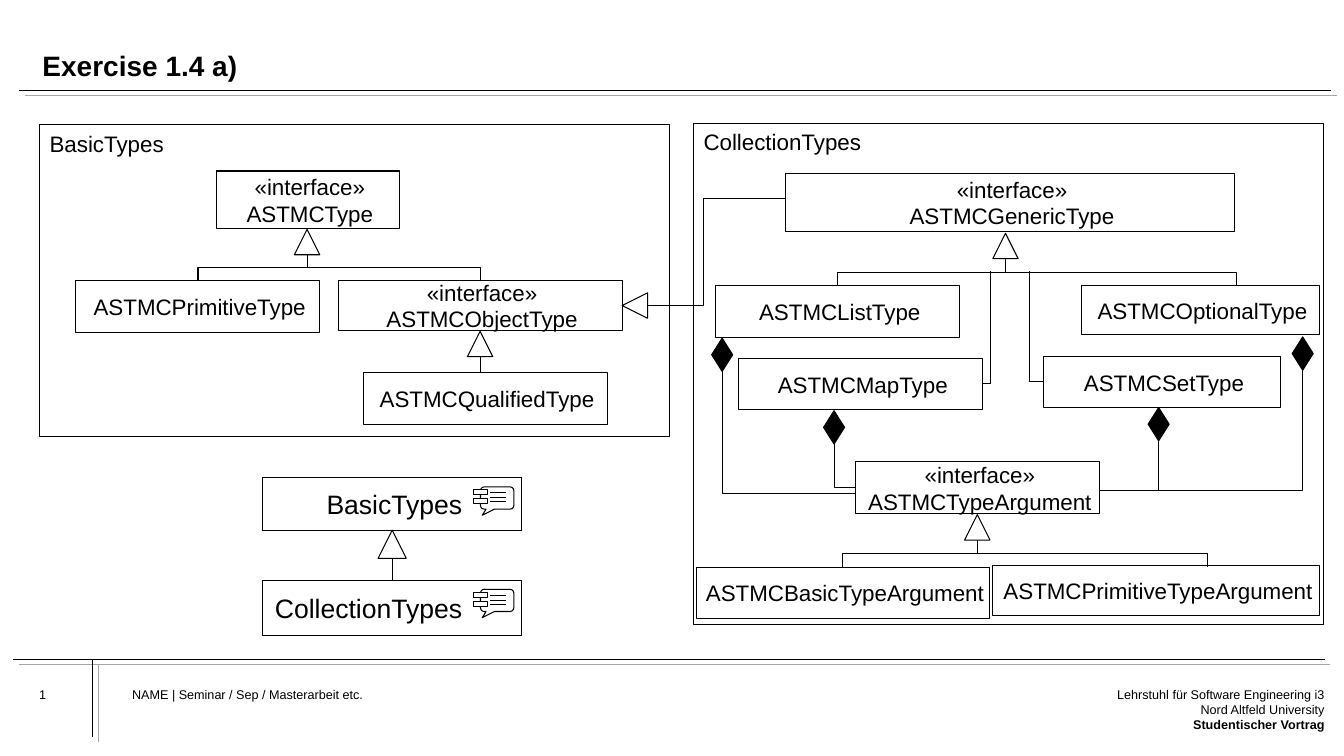
from dataclasses import dataclass

from lxml.etree import SubElement
from pptx import Presentation
from pptx.dml.color import RGBColor
from pptx.enum.shapes import MSO_CONNECTOR, MSO_SHAPE
from pptx.enum.text import MSO_ANCHOR, MSO_AUTO_SIZE, PP_ALIGN
from pptx.oxml.ns import qn
from pptx.util import Cm, Pt


@dataclass(frozen=True)
class Theme:
    font: str = "Arial"
    ink: RGBColor = RGBColor(0, 0, 0)
    paper: RGBColor = RGBColor(255, 255, 255)
    echo: RGBColor = RGBColor(0xA6, 0xA6, 0xA6)
    title_size: int = 20
    component_size: int = 19
    class_size: int = 16
    footer_size: int = 9
    outline: float = 0.75
    rule: float = 0.5


THEME = Theme()
ARROW = 0.64  # side of an inheritance triangle, in cm
DIAMOND_WIDTH, DIAMOND_HEIGHT = 0.53, 0.84


# Basic parts; all lengths are in centimetres
def write(shape, text, size=THEME.class_size, bold_lines=(), align=PP_ALIGN.LEFT,
          anchor=MSO_ANCHOR.TOP, insets=(0, 0, 0, 0), spacing=None):
    frame = shape.text_frame
    frame.word_wrap = True
    frame.auto_size = MSO_AUTO_SIZE.NONE
    frame.vertical_anchor = anchor
    (frame.margin_left, frame.margin_top,
     frame.margin_right, frame.margin_bottom) = map(Cm, insets)
    for index, line in enumerate(text.split("\n")):
        paragraph = frame.add_paragraph() if index else frame.paragraphs[0]
        paragraph.alignment = align
        paragraph.line_spacing = spacing
        run = paragraph.add_run()
        run.text = line
        run.font.name = THEME.font
        run.font.size = Pt(size)
        run.font.bold = index in bold_lines
        run.font.color.rgb = THEME.ink


def add_outlined(slide, kind, left, top, width, height, fill=THEME.paper):
    shape = slide.shapes.add_shape(kind, Cm(left), Cm(top), Cm(width), Cm(height))
    shape.shadow.inherit = False
    shape.fill.solid()
    shape.fill.fore_color.rgb = fill
    shape.line.color.rgb = THEME.ink
    shape.line.width = Pt(THEME.outline)
    return shape


def add_line(slide, start, end, kind=MSO_CONNECTOR.STRAIGHT,
             color=THEME.ink, width=THEME.outline):
    connector = slide.shapes.add_connector(kind, *map(Cm, (*start, *end)))
    connector.line.color.rgb = color
    connector.line.width = Pt(width)
    SubElement(connector._element.spPr, qn("a:effectLst"))
    return connector


def add_drop(slide, start, end, corner=False):
    """Elbow that leaves downwards; with corner it arrives from the side."""
    (x1, y1), (x2, y2) = start, end
    middle_x, middle_y = (x1 + x2) / 2, (y1 + y2) / 2
    half_run, half_drop = (x2 - x1) / 2, (y2 - y1) / 2
    connector = add_line(slide, (middle_x - half_drop, middle_y + half_run),
                         (middle_x + half_drop, middle_y - half_run), MSO_CONNECTOR.ELBOW)
    properties = connector._element.spPr
    properties.find(qn("a:xfrm")).set("rot", "5400000")
    if corner:
        properties.find(qn("a:prstGeom")).set("prst", "bentConnector2")


def add_text(slide, text, left, top, width, height, **text_format):
    box = slide.shapes.add_textbox(Cm(left), Cm(top), Cm(width), Cm(height))
    write(box, text, **text_format)


# Class diagram parts
def add_package(slide, name, box):
    package = add_outlined(slide, MSO_SHAPE.RECTANGLE, *box)
    write(package, name, insets=(0.25, 0.13, 0.25, 0.13))


def add_classes(slide, box, classes):
    for name, left, top, width, height in classes:
        shape = add_outlined(slide, MSO_SHAPE.RECTANGLE,
                             box[0] + left, box[1] + top, width, height)
        write(shape, name, align=PP_ALIGN.CENTER, anchor=MSO_ANCHOR.MIDDLE,
              insets=(0.2, 0, 0.1, 0))


def add_inheritance(slide, box, apex, children, child_top):
    x, y = box[0] + apex[0], box[1] + apex[1]
    for child in children:
        add_drop(slide, (x, y + ARROW), (box[0] + child, box[1] + child_top))
    add_outlined(slide, MSO_SHAPE.ISOSCELES_TRIANGLE, x - ARROW / 2, y, ARROW, ARROW)


def add_composition(slide, box, top_point, end):
    x, y = box[0] + top_point[0], box[1] + top_point[1]
    add_drop(slide, (x, y + DIAMOND_HEIGHT), (box[0] + end[0], box[1] + end[1]), corner=True)
    add_outlined(slide, MSO_SHAPE.DIAMOND, x - DIAMOND_WIDTH / 2, y,
                 DIAMOND_WIDTH, DIAMOND_HEIGHT, fill=THEME.ink)


# Regions
def draw_basic_types(slide, box):
    add_package(slide, "BasicTypes", box)
    add_classes(slide, box, [
        ("«interface»\nASTMCType", 4.45, 1.17, 4.62, 1.45),
        ("ASTMCPrimitiveType", 0.91, 3.94, 6.15, 1.3),
        ("«interface»\nASTMCObjectType", 7.52, 3.94, 7.16, 1.24),
        ("ASTMCQualifiedType", 8.15, 6.25, 6.15, 1.3),
    ])
    add_inheritance(slide, box, (6.74, 2.64), [3.99, 11.1], 3.94)
    add_inheritance(slide, box, (11.1, 5.21), [11.1], 6.25)


def draw_collection_types(slide, box):
    add_package(slide, "CollectionTypes", box)
    add_classes(slide, box, [
        ("«interface»\nASTMCGenericType", 2.31, 1.27, 11.33, 1.45),
        ("ASTMCListType", 0.56, 4.09, 6.15, 1.3),
        ("ASTMCOptionalType", 9.78, 4.09, 5.99, 1.24),
        ("ASTMCMapType", 1.14, 5.92, 6.15, 1.3),
        ("ASTMCSetType", 8.81, 5.87, 5.99, 1.3),
        ("«interface»\nASTMCTypeArgument", 4.09, 8.53, 6.15, 1.3),
        ("ASTMCBasicTypeArgument", 0.08, 11.18, 7.37, 1.3),
        ("ASTMCPrimitiveTypeArgument", 7.54, 11.15, 8.23, 1.24),
    ])
    add_inheritance(slide, box, (7.86, 2.77), [3.63, 13.67], 4.09)
    add_inheritance(slide, box, (7.15, 9.86), [3.76, 12.95], 11.18)
    # Map and set branch off the bar above list and optional
    for start_x, end_x, end_y in [(7.47, 7.29, 6.55), (8.46, 8.81, 6.5)]:
        add_drop(slide, (box[0] + start_x, box[1] + 3.73),
                 (box[0] + end_x, box[1] + end_y), corner=True)
    for top_point, end in [((0.72, 5.41), (4.09, 9.32)), ((3.54, 7.24), (4.09, 9.17)),
                           ((11.72, 7.16), (10.24, 9.25)), ((15.35, 5.38), (10.24, 9.25))]:
        add_composition(slide, box, top_point, end)


def draw_package_link(slide, basic_box, collection_box):
    tip_x, tip_y = basic_box[0] + 14.68, basic_box[1] + 4.56
    add_line(slide, (collection_box[0] + 2.3, collection_box[1] + 1.9),
             (tip_x, tip_y), MSO_CONNECTOR.ELBOW)
    triangle = add_outlined(slide, MSO_SHAPE.ISOSCELES_TRIANGLE,
                            tip_x, tip_y - ARROW / 2, ARROW, ARROW)
    triangle.rotation = 270


def draw_component(slide, name, box):
    left, top = box[:2]
    component = add_outlined(slide, MSO_SHAPE.RECTANGLE, *box)
    write(component, name, size=THEME.component_size, align=PP_ALIGN.RIGHT,
          anchor=MSO_ANCHOR.MIDDLE, insets=(0, 0, 1.5, 0))
    # Speech bubble with component tabs
    bubble = add_outlined(slide, MSO_SHAPE.ROUNDED_RECTANGULAR_CALLOUT,
                          left + 5.49, top + 0.23, 0.84, 0.56)
    for index, value in enumerate((-0.446, 0.776, 0.167)):
        bubble.adjustments[index] = value
    for tab_top in (0.3, 0.53):
        add_outlined(slide, MSO_SHAPE.RECTANGLE, left + 5.31, top + tab_top, 0.36, 0.13)
    for line_y in (0.38, 0.5, 0.61):
        add_line(slide, (left + 5.74, top + line_y), (left + 6.12, top + line_y))
    return component


def draw_components(slide, box):
    left, top, width, height = box
    arrow, parent_height, child_height = 0.71, 1.32, 1.4
    child_top = top + height - child_height
    center, apex = left + width / 2, top + parent_height
    draw_component(slide, "BasicTypes", (left, top, width, parent_height))
    child = draw_component(slide, "CollectionTypes", (left, child_top, width, child_height))
    stem = add_line(slide, (center, apex + arrow), (center, child_top))
    stem.end_connect(child, 0)
    add_outlined(slide, MSO_SHAPE.ISOSCELES_TRIANGLE, center - arrow / 2, apex, arrow, arrow)


def draw_title(slide, box):
    title = slide.shapes.title
    title.left, title.top, title.width, title.height = map(Cm, box)
    write(title, "Exercise 1.4 a)", size=THEME.title_size, bold_lines=(0,),
          anchor=MSO_ANCHOR.BOTTOM, spacing=0.9)


def draw_rule(slide, x1, y1, x2, y2):
    for color, shift_x, shift_y in [(THEME.ink, 0, 0), (THEME.echo, 0.15, 0.13)]:
        add_line(slide, (x1 + shift_x, y1 + shift_y), (x2 + shift_x, y2 + shift_y),
                 color=color, width=THEME.rule)


def draw_footer(slide, box):
    left, top, width, height = box
    draw_rule(slide, left, top, left + width, top)
    draw_rule(slide, left + 2.01, top, left + 2.01, top + 1.96)
    text_top, size = top + 0.69, THEME.footer_size
    add_text(slide, "1", left + 0.66, text_top, 2.03, 1.09, size=size)
    add_text(slide, "NAME | Seminar / Sep / Masterarbeit etc.",
             left + 3, text_top, 19.46, height - 0.69, size=size)
    add_text(slide, "Lehrstuhl für Software Engineering i3\nNord Altfeld University\n"
             "Studentischer Vortrag", left + width - 5.46, text_top, 5.46, height - 0.69,
             size=size, bold_lines=(2,), align=PP_ALIGN.RIGHT)


def main():
    presentation = Presentation()
    presentation.slide_width, presentation.slide_height = Cm(33.87), Cm(19.05)
    slide = presentation.slides.add_slide(presentation.slide_layouts[5])
    basic_box, collection_box = (1.0, 3.14, 15.88, 7.85), (17.48, 3.11, 15.88, 12.62)
    draw_title(slide, (1.07, 0.58, 31.9, 1.5))
    draw_rule(slide, 0.48, 2.28, 33.55, 2.28)
    draw_footer(slide, (0.33, 16.61, 33.05, 2.44))
    draw_collection_types(slide, collection_box)
    draw_basic_types(slide, basic_box)
    draw_package_link(slide, basic_box, collection_box)
    draw_components(slide, (6.62, 12.04, 6.53, 3.98))
    presentation.save("out.pptx")


if __name__ == "__main__":
    main()
